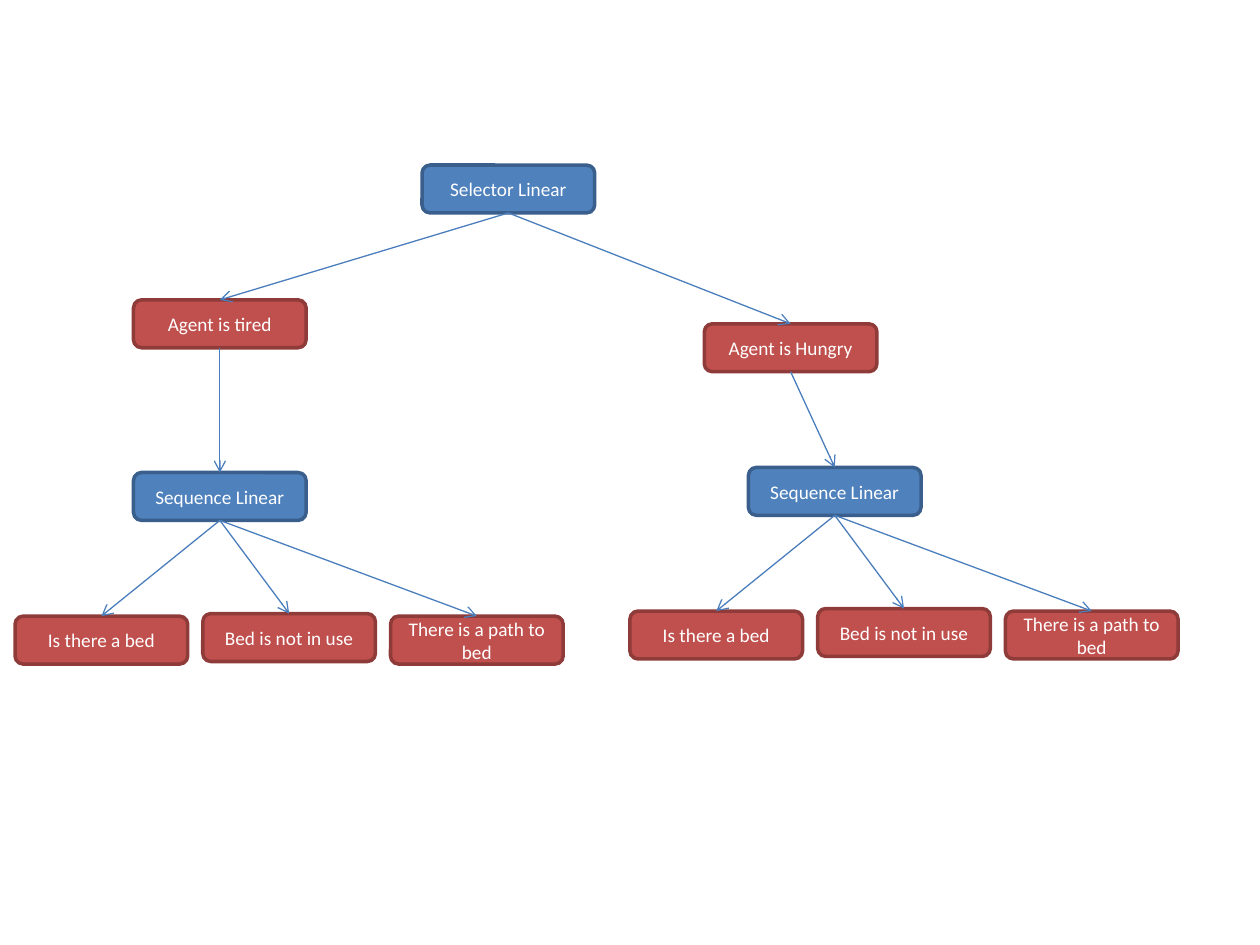
from dataclasses import dataclass
from lxml.etree import SubElement
from pptx import Presentation
from pptx.dml.color import RGBColor
from pptx.enum.shapes import MSO_CONNECTOR, MSO_SHAPE
from pptx.enum.text import MSO_ANCHOR, PP_ALIGN
from pptx.oxml.ns import qn
from pptx.util import Inches, Pt

# Behaviour tree: each branch is a condition leading to a sequence of checks.
ROOT = ("Selector Linear", (3.35, 1.31))
BRANCHES = [
    {"condition": ("Agent is tired", (1.06, 2.38)),
     "sequence": ("Sequence Linear", (1.06, 3.75))},
    {"condition": ("Agent is Hungry", (5.59, 2.57)),
     "sequence": ("Sequence Linear", (5.94, 3.71))},
]
CHECKS = ["Is there a bed", "Bed is not in use", "There is a path to bed"]

SLIDE_WIDTH, SLIDE_HEIGHT = 10, 7.5
NODE_WIDTH, NODE_HEIGHT = 1.37, 0.38
CHECK_START, CHECK_STEP = -0.94, 1.49  # columns, relative to the sequence
CHECK_DROPS = [1.14, 1.12, 1.14]
TOP_SITE, BOTTOM_SITE = 0, 2


@dataclass(frozen=True)
class Theme:
    font: str = "Calibri"
    text_size: float = 11
    text: str = "FFFFFF"
    control: tuple = ("4F81BD", "3A5F8C")  # fill, outline
    test: tuple = ("C0504D", "8E3B39")
    arrow: str = "4B7EBC"
    outline_width: float = 2
    arrow_width: float = 0.75


THEME = Theme()


def write(frame, text, *, size=THEME.text_size, color=THEME.text,
          align=PP_ALIGN.CENTER, anchor=MSO_ANCHOR.MIDDLE):
    frame.word_wrap = True
    frame.vertical_anchor = anchor
    paragraph = frame.paragraphs[0]
    paragraph.alignment = align
    run = paragraph.add_run()
    run.text = text
    run.font.name = THEME.font
    run.font.size = Pt(size)
    run.font.color.rgb = RGBColor.from_string(color)


def add_node(slide, label, position, colors):
    left, top = position
    node = slide.shapes.add_shape(
        MSO_SHAPE.ROUNDED_RECTANGLE, Inches(left), Inches(top),
        Inches(NODE_WIDTH), Inches(NODE_HEIGHT))
    fill, outline = colors
    node.shadow.inherit = False
    node.fill.solid()
    node.fill.fore_color.rgb = RGBColor.from_string(fill)
    node.line.color.rgb = RGBColor.from_string(outline)
    node.line.width = Pt(THEME.outline_width)
    write(node.text_frame, label)
    return node


def link(slide, parent, child):
    """Draw an arrow from the bottom of parent to the top of child."""
    arrow = slide.shapes.add_connector(MSO_CONNECTOR.STRAIGHT, 0, 0, 0, 0)
    arrow.begin_connect(parent, BOTTOM_SITE)
    arrow.end_connect(child, TOP_SITE)
    arrow.line.color.rgb = RGBColor.from_string(THEME.arrow)
    arrow.line.width = Pt(THEME.arrow_width)
    SubElement(arrow.line._get_or_add_ln(), qn("a:tailEnd"), type="arrow")
    SubElement(arrow._element.spPr, qn("a:effectLst"))


def add_branch(slide, root, branch):
    condition = add_node(slide, *branch["condition"], THEME.test)
    sequence = add_node(slide, *branch["sequence"], THEME.control)
    link(slide, root, condition)
    link(slide, condition, sequence)
    left, top = branch["sequence"][1]
    for column, (label, drop) in enumerate(zip(CHECKS, CHECK_DROPS)):
        position = (left + CHECK_START + column * CHECK_STEP, top + drop)
        link(slide, sequence, add_node(slide, label, position, THEME.test))


def main():
    deck = Presentation()
    deck.slide_width, deck.slide_height = Inches(SLIDE_WIDTH), Inches(SLIDE_HEIGHT)
    slide = deck.slides.add_slide(deck.slide_layouts[6])
    root = add_node(slide, *ROOT, THEME.control)
    for branch in BRANCHES:
        add_branch(slide, root, branch)
    deck.save("out.pptx")


if __name__ == "__main__":
    main()
